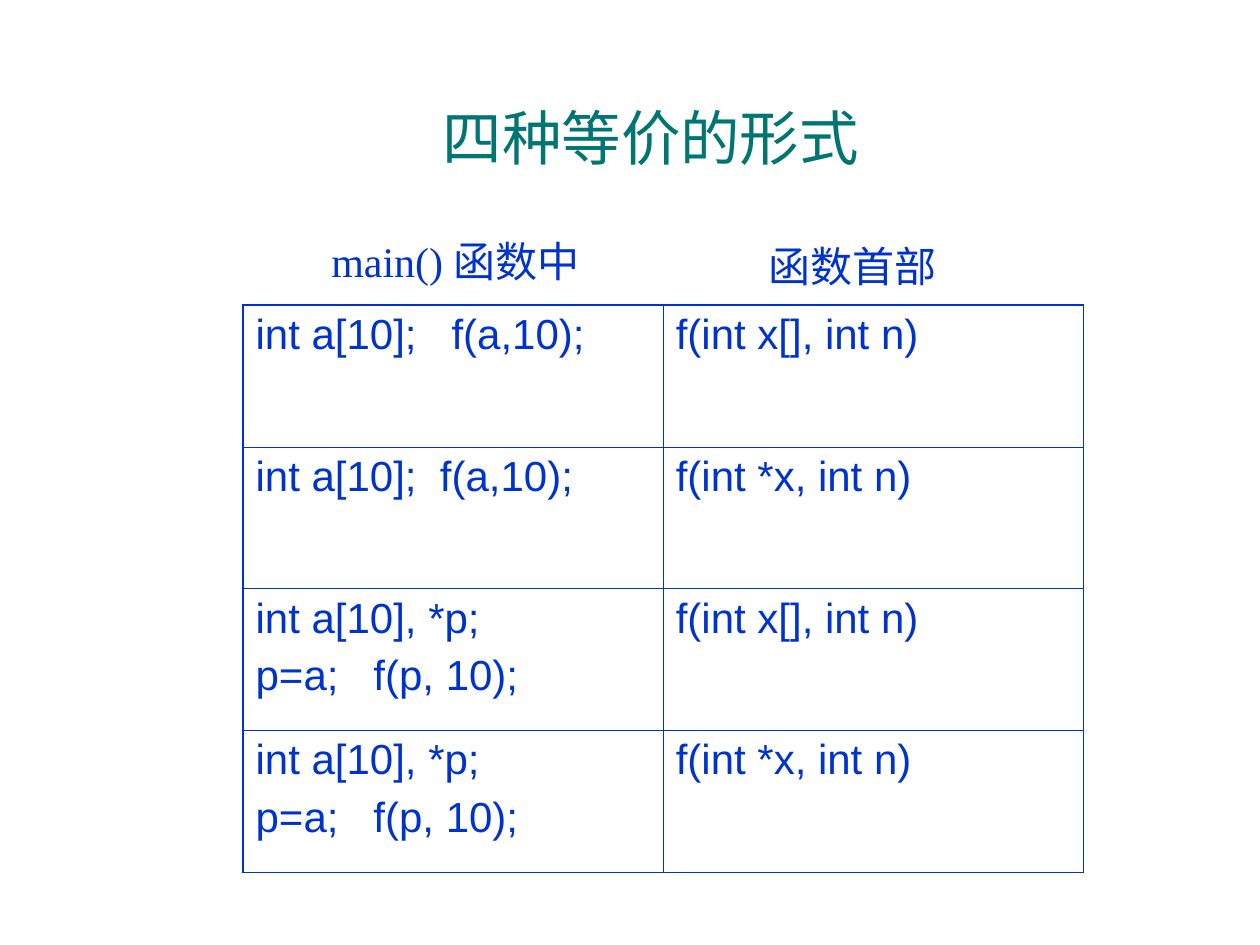
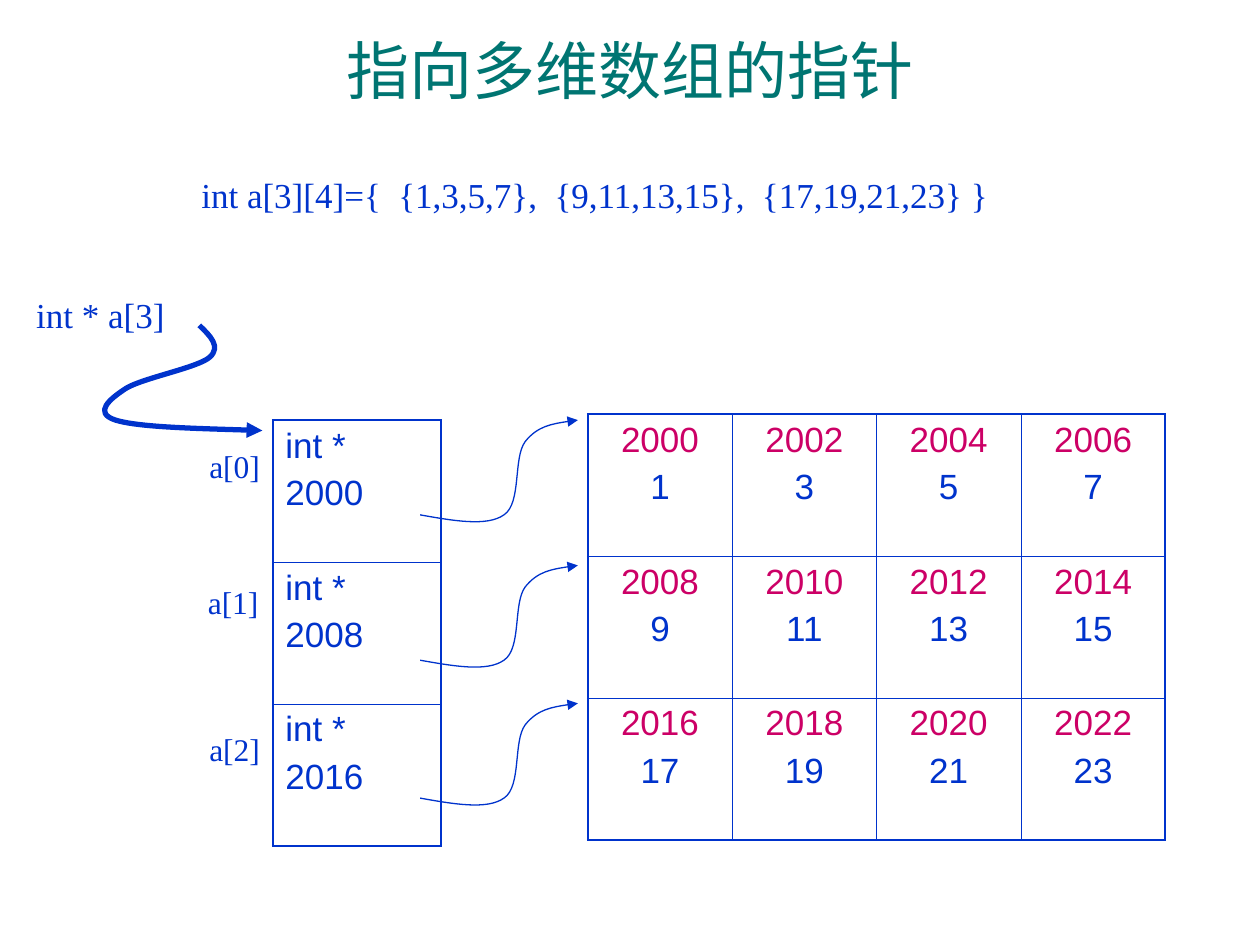
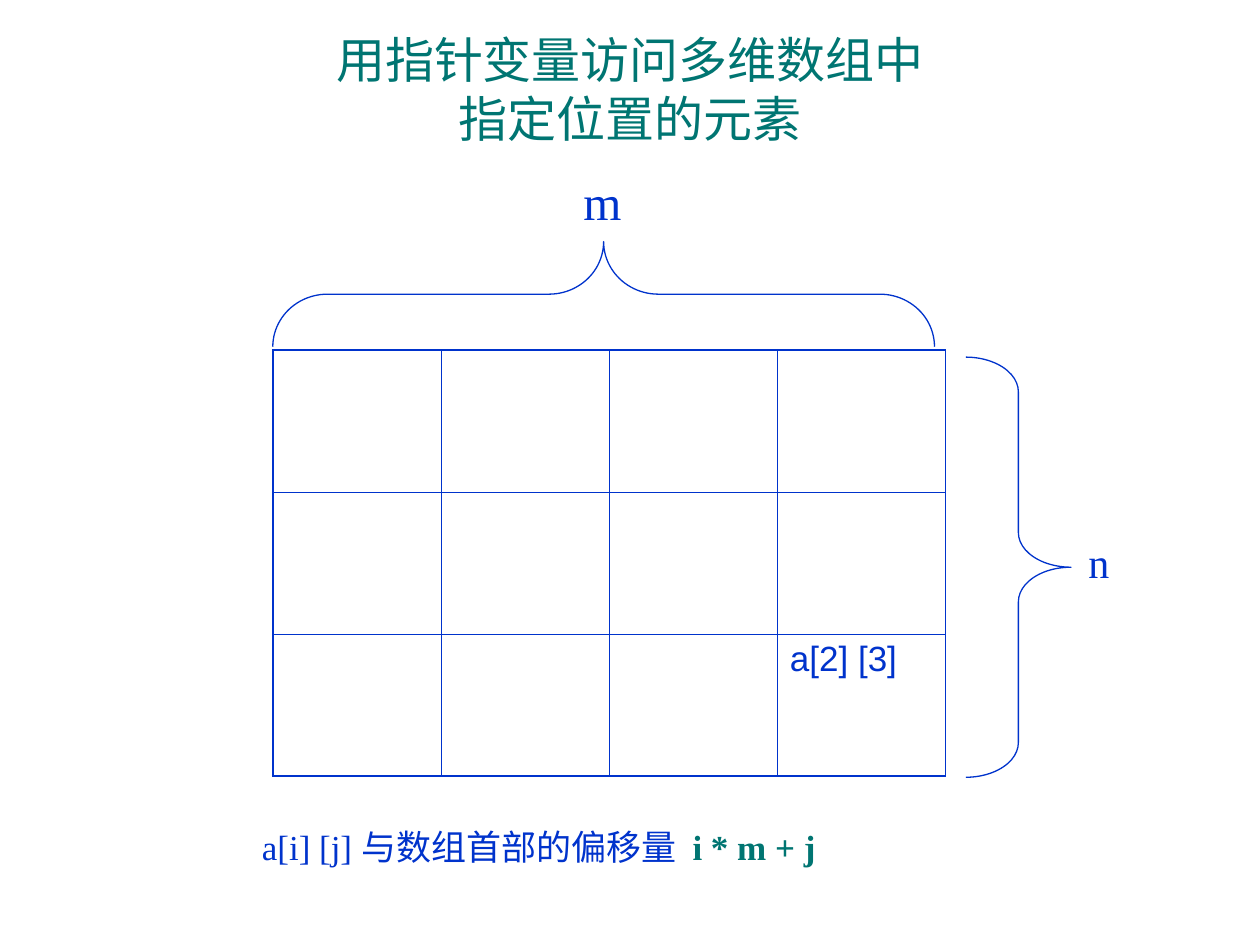
from pptx import Presentation
from pptx.dml.color import RGBColor
from pptx.enum.shapes import MSO_SHAPE as SHAPE
from pptx.enum.text import MSO_ANCHOR as ANCHOR, MSO_AUTO_SIZE as AUTOSIZE, PP_ALIGN as ALIGN
from pptx.oxml.ns import qn
from pptx.util import Cm, Pt
from lxml.etree import SubElement

BLUE = RGBColor(0x00, 0x33, 0xCC)
TEAL = RGBColor(0x00, 0x75, 0x72)
PINK = RGBColor(0xCC, 0x00, 0x66)
SANS, SERIF = "Arial", "Times New Roman"
OUTER, INNER, THIN = 1.08, 0.45, 0.75
ROW_HEIGHT = 2.86

# Control points of the curve from a pointer cell to its array row
POINTER_CURVE = [(0, 1.91), (0.68, 2.03), (1.35, 2.15), (1.69, 1.91), (2.05, 1.67),
                 (1.87, 0.76), (2.12, 0.43), (2.37, 0.12), (2.77, 0.05), (3.18, 0)]
DECLARATION_CURVE = [(4.02, 6.56), (4.24, 6.77), (4.46, 6.99), (4.23, 7.2), (4, 7.41),
                     (2.88, 7.62), (2.54, 7.83), (2.22, 8.04), (1.87, 8.32),
                     (2.33, 8.47), (2.79, 8.61), (4.04, 8.64), (5.29, 8.68)]


class Deck:
    """Shared style and the slide being drawn; all lengths in centimetres."""

    def __init__(self):
        self.prs = Presentation()
        self.prs.slide_width, self.prs.slide_height = Cm(25.4), Cm(19.05)
        self.s = None

    def run(self, p, text, size, font, color=BLUE, bold=False):
        r = p.add_run()
        r.text = text
        r.font.size, r.font.name, r.font.bold = Pt(size), font, bold
        r.font.color.rgb = color

    def slide(self, lines, size, left, top, width, height):
        """Start a slide with its title."""
        self.s = self.prs.slides.add_slide(self.prs.slide_layouts[5])
        sp = self.s.shapes.title
        sp.left, sp.top, sp.width, sp.height = Cm(left), Cm(top), Cm(width), Cm(height)
        tf = sp.text_frame
        tf.auto_size, tf.vertical_anchor = AUTOSIZE.NONE, ANCHOR.MIDDLE
        p = tf.paragraphs[0]
        p.alignment = ALIGN.CENTER
        for i, line in enumerate(lines):
            if i:
                p.add_line_break()
            self.run(p, line, size, SANS, TEAL)

    def label(self, left, top, width, height, size, *runs):
        """Text box on one line; each run is (text, colour, bold)."""
        sp = self.s.shapes.add_textbox(Cm(left), Cm(top), Cm(width), Cm(height))
        tf = sp.text_frame
        tf.word_wrap, tf.auto_size = False, AUTOSIZE.SHAPE_TO_FIT_TEXT
        for text, color, bold in runs:
            self.run(tf.paragraphs[0], text, size, SERIF, color, bold)

    def border(self, cell, side, width):
        ln = SubElement(cell._tc.get_or_add_tcPr(), qn(f"a:ln{side}"), w=str(Pt(width)))
        fill = SubElement(ln, qn("a:solidFill"))
        SubElement(fill, qn("a:srgbClr"), val=str(BLUE))

    def table(self, left, top, col_width, rows, size, align=ALIGN.LEFT, first_color=BLUE):
        """Grid with a heavier frame; each cell is a list of lines."""
        n_rows, n_cols = len(rows), len(rows[0])
        table = self.s.shapes.add_table(n_rows, n_cols, Cm(left), Cm(top), Cm(col_width * n_cols),
                                        Cm(ROW_HEIGHT * n_rows)).table
        table.first_row = table.horz_banding = False
        for col in table.columns:
            col.width = Cm(col_width)
        for i, row in enumerate(rows):
            table.rows[i].height = Cm(ROW_HEIGHT)
            for j, lines in enumerate(row):
                cell = table.cell(i, j)
                edges = {"L": j == 0, "R": j == n_cols - 1, "T": i == 0, "B": i == n_rows - 1}
                for side, outer in edges.items():
                    self.border(cell, side, OUTER if outer else INNER)
                cell.fill.background()
                tf = cell.text_frame
                for k, line in enumerate(lines):
                    p = tf.add_paragraph() if k else tf.paragraphs[0]
                    p.alignment = align
                    if k:
                        p.space_before = Pt(size / 4)
                    self.run(p, line, size, SANS, BLUE if k else first_color)

    def outline(self, sp, width):
        sp.shadow.inherit = False
        sp.fill.background()
        sp.line.color.rgb, sp.line.width = BLUE, Pt(width)

    def curve(self, points, width, dx=0, dy=0):
        """Bezier arrow: a start, then three control points per segment."""
        emu = [(Cm(x + dx), Cm(y + dy)) for x, y in points]
        fb = self.s.shapes.build_freeform(*emu[0])
        fb.add_line_segments(emu[1:], close=False)
        sp = fb.convert_to_shape()
        self.outline(sp, width)
        # Turn each three straight segments into one cubic
        segments = list(sp._element.iter(qn("a:lnTo")))
        path = segments[0].getparent()
        for i in range(0, len(segments), 3):
            cubic = SubElement(path, qn("a:cubicBezTo"))
            for segment in segments[i:i + 3]:
                cubic.append(segment[0])
                path.remove(segment)
        SubElement(sp.line._get_or_add_ln(), qn("a:tailEnd"), type="triangle")

    def brace(self, left, top, width, height, corner, rotation=0):
        sp = self.s.shapes.add_shape(SHAPE.RIGHT_BRACE, Cm(left), Cm(top), Cm(width), Cm(height))
        sp.adjustments[0], sp.rotation = corner, rotation
        self.outline(sp, THIN)


def equivalent_forms(d):
    d.slide(["四种等价的形式"], 34, 7.19, 1.9, 11.86, 1.7)
    array_param, pointer_param = ["f(int x[], int n)"], ["f(int *x, int n)"]
    pointer_call = ["int a[10], *p;", "p=a;   f(p, 10);"]
    d.table(4.9, 6.15, 8.47, [
        [["int a[10];   f(a,10);"], array_param],
        [["int a[10];  f(a,10);"], pointer_param],
        [pointer_call, array_param],
        [pointer_call, pointer_param],
    ], 24)
    d.label(6.43, 4.62, 5.72, 1.27, 24, ("main() 函数中", BLUE, False))
    d.label(15.24, 4.72, 3.89, 1.27, 24, ("函数首部", BLUE, False))


def pointer_to_array(d):
    d.slide(["指向多维数组的指针"], 36, 1.9, -0.2, 21.59, 3.18)
    # Addresses grow by 2 per element, values are the odd numbers
    cells = [[[str(2000 + 2 * n), str(2 * n + 1)] for n in range(4 * i, 4 * i + 4)]
             for i in range(3)]
    d.table(11.85, 8.35, 2.91, cells, 20, ALIGN.CENTER, PINK)
    d.table(5.5, 8.47, 3.39, [[["int *", row[0][0]]] for row in cells], 20)
    for top in (8.47, 11.4, 14.18):
        d.curve(POINTER_CURVE, THIN, 8.47, top)
    # Row labels, wide enough to stay on one line
    for i, (left, top) in enumerate([(3.97, 8.89), (3.94, 11.63), (3.97, 14.6)]):
        d.label(left, top, 1.65, 1.02, 18, (f"a[{i}]", BLUE, False))
    d.label(0.48, 5.79, 3.1, 1.12, 20, ("int * a[3]", BLUE, False))
    d.curve(DECLARATION_CURVE, 3)
    d.label(3.81, 3.38, 16.41, 1.12, 20,
            ("int a[3][4]={  {1,3,5,7},  {9,11,13,15},  {17,19,21,23} }", BLUE, False))


def element_offset(d):
    d.slide(["用指针变量访问多维数组中", "指定位置的元素"], 28, 1.9, 0.2, 21.59, 3.18)
    cells = [[[] for _ in range(4)] for _ in range(3)]
    cells[2][3] = ["a[2] [3]"]
    d.table(5.5, 7.06, 3.39, cells, 20)
    # Row and column counts
    d.brace(19.47, 7.2, 2.12, 8.47, 0.33)
    d.label(21.69, 10.69, 0.91, 1.27, 24, ("n", BLUE, False))
    d.brace(11.11, -0.74, 2.12, 13.34, 0.52, 270)
    d.label(11.51, 3.33, 1.27, 1.45, 28, ("m", BLUE, False))
    d.label(5.03, 16.51, 12.01, 1.12, 20,
            ("a[i] [j] 与数组首部的偏移量  ", BLUE, False), ("i * m + j", TEAL, True))


def main():
    d = Deck()
    equivalent_forms(d)
    pointer_to_array(d)
    element_offset(d)
    d.prs.save("out.pptx")


if __name__ == "__main__":
    main()
